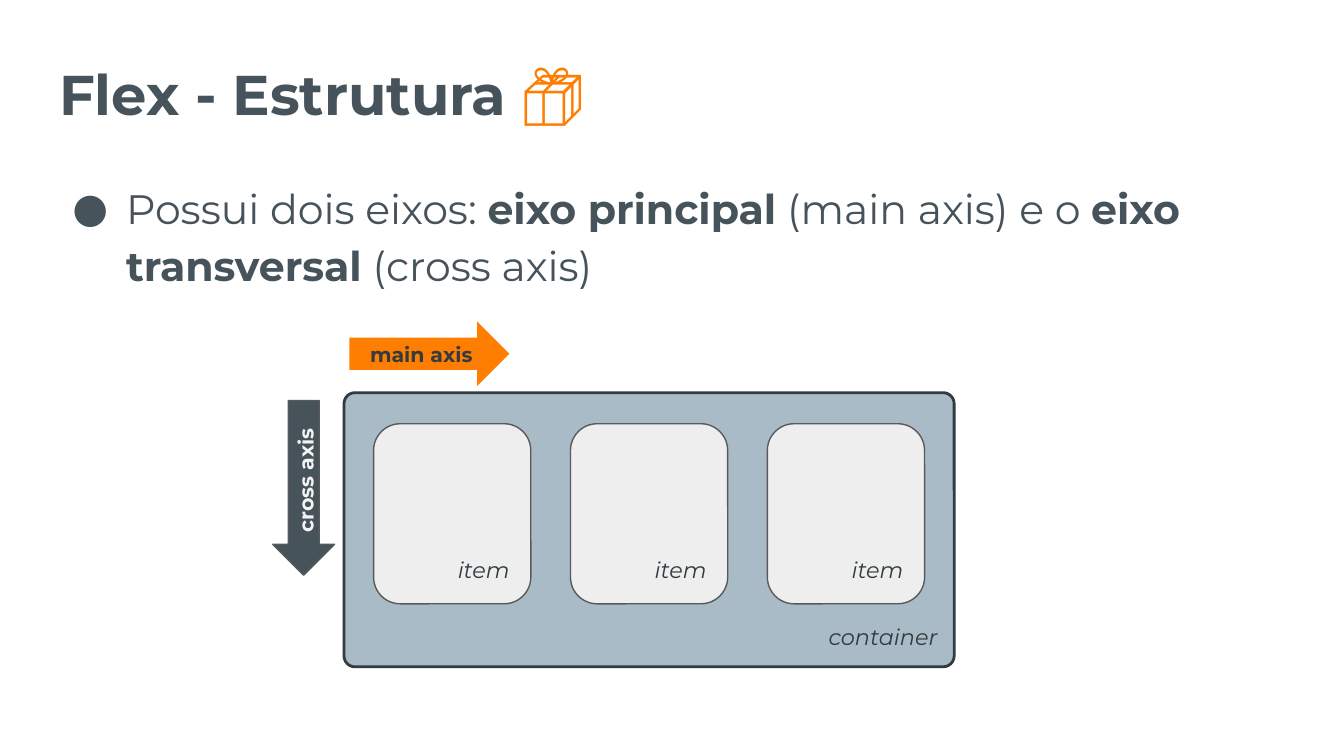
"""Builds a slide on the two axes of a flex container."""
from lxml import etree
from pptx import Presentation
from pptx.dml.color import RGBColor
from pptx.enum.shapes import MSO_SHAPE
from pptx.enum.text import MSO_ANCHOR, MSO_AUTO_SIZE, PP_ALIGN
from pptx.oxml.ns import qn
from pptx.util import Inches, Pt

SLATE = RGBColor(0x46, 0x53, 0x5B)
INK = RGBColor(0x32, 0x3B, 0x3F)
ORANGE = RGBColor(0xFE, 0x7E, 0x02)
STEEL = RGBColor(0xA8, 0xBB, 0xC6)
PALE = RGBColor(0xEE, 0xEE, 0xEE)
GREY = RGBColor(0x59, 0x59, 0x59)
SNOW = RGBColor(0xF3, 0xF3, 0xF3)

ROUNDED = MSO_SHAPE.ROUNDED_RECTANGLE
RIGHT_ARROW = MSO_SHAPE.RIGHT_ARROW
LEFT_ARROW = MSO_SHAPE.LEFT_ARROW
LEFT, CENTER, RIGHT = PP_ALIGN.LEFT, PP_ALIGN.CENTER, PP_ALIGN.RIGHT
TOP, MIDDLE, BOTTOM = MSO_ANCHOR.TOP, MSO_ANCHOR.MIDDLE, MSO_ANCHOR.BOTTOM
NO_FIT = MSO_AUTO_SIZE.NONE
TITLE_ONLY = 5


class FlexSlide:
    """Holds the style and the page, on a grid of tenths of an inch."""

    font, emoji_font = "Montserrat", "Roboto"
    cell = Inches(0.1)

    def __init__(self, deck):
        self.page = deck.slides.add_slide(deck.slide_layouts[TITLE_ONLY])

    def place(self, *grid):
        return [round(value * self.cell) for value in grid]

    def frame(self, box, anchor):
        frame = box.text_frame
        frame.word_wrap = True
        frame.auto_size = NO_FIT
        frame.vertical_anchor = anchor
        frame.margin_left = frame.margin_right = self.cell
        frame.margin_top = frame.margin_bottom = self.cell
        return frame

    def style(self, font, size, color, bold=False, italic=False):
        font.name, font.size = self.font, Pt(size)
        font.bold, font.italic = bold, italic
        font.color.rgb = color

    def title(self, text, emoji, grid):
        box = self.page.shapes.title
        box.left, box.top, box.width, box.height = self.place(*grid)
        para = self.frame(box, MIDDLE).paragraphs[0]
        para.alignment = LEFT
        span = para.add_run()
        span.text = text
        self.style(span.font, 30, SLATE, bold=True)
        span = para.add_run()
        span.text = emoji
        self.style(span.font, 34, ORANGE)
        span.font.name = self.emoji_font

    def bullet(self, spans, grid):
        box = self.page.shapes.add_textbox(*self.place(*grid))
        para = self.frame(box, TOP).paragraphs[0]
        para.line_spacing = 1.15
        para.space_after = Pt(10)
        self.style(para.font, 22, SLATE)
        properties = para._p.get_or_add_pPr()
        properties.set("marL", str(Inches(0.5)))
        properties.set("indent", str(Inches(-0.4)))
        defaults = properties.find(qn("a:defRPr"))
        defaults.addprevious(etree.Element(qn("a:buFont"), typeface=self.font))
        defaults.addprevious(etree.Element(qn("a:buChar"), char="●"))
        for text, bold in spans:
            span = para.add_run()
            span.text = text
            self.style(span.font, 22, SLATE, bold)

    def shape(self, kind, grid, fill, line=None, width=0.75, corner=None):
        box = self.page.shapes.add_shape(kind, *self.place(*grid))
        box.shadow.inherit = False
        box.fill.solid()
        box.fill.fore_color.rgb = fill
        if line is None:
            box.line.fill.background()
        else:
            box.line.color.rgb = line
            box.line.width = Pt(width)
        if corner is not None:
            box.adjustments[0] = corner
        return box

    def label(self, box, text, anchor, align, size, color, **look):
        para = self.frame(box, anchor).paragraphs[0]
        para.text = text
        para.alignment = align
        self.style(para.font, size, color, **look)
        self.style(para.runs[0].font, size, color, **look)
        return para

    def panel(self, text, grid, fill, line, width, corner):
        box = self.shape(ROUNDED, grid, fill, line, width, corner)
        self.label(box, text, BOTTOM, RIGHT, 12, INK, italic=True)

    def arrow(self, kind, text, grid, fill, color, line=None, rotation=0):
        box = self.shape(kind, grid, fill, line)
        box.rotation = rotation
        return self.label(box, text, MIDDLE, CENTER, 11, color, bold=True)


def main():
    deck = Presentation()
    deck.slide_width = Inches(10)
    deck.slide_height = deck.slide_width * 9 // 16
    slide = FlexSlide(deck)
    slide.title("Flex - Estrutura ", "📦", (3.4, 1.35, 85.7, 10.7))
    slide.bullet([("Possui dois eixos: ", False), ("eixo principal", True),
                  (" (main axis) e o ", False), ("eixo transversal", True),
                  (" (cross axis)", False)], (3.4, 12.1, 89.2, 9.4))
    slide.panel("container", (25.6, 29.22, 45.4, 20.4), STEEL, INK, 1.5, 0.04)
    for index in range(3):
        left = 27.8 + index * 14.65
        slide.panel("item", (left, 31.53, 11.7, 13.4), PALE, GREY, 0.75, 0.17)
    slide.arrow(RIGHT_ARROW, "main axis", (26, 23.93, 11.9, 4.8), ORANGE, INK)
    cross = slide.arrow(LEFT_ARROW, "cross axis", (16.1, 34, 13, 4.6),
                        SLATE, SNOW, GREY, 270)
    cross.line_spacing = 1.15
    deck.save("out.pptx")


if __name__ == "__main__":
    main()
